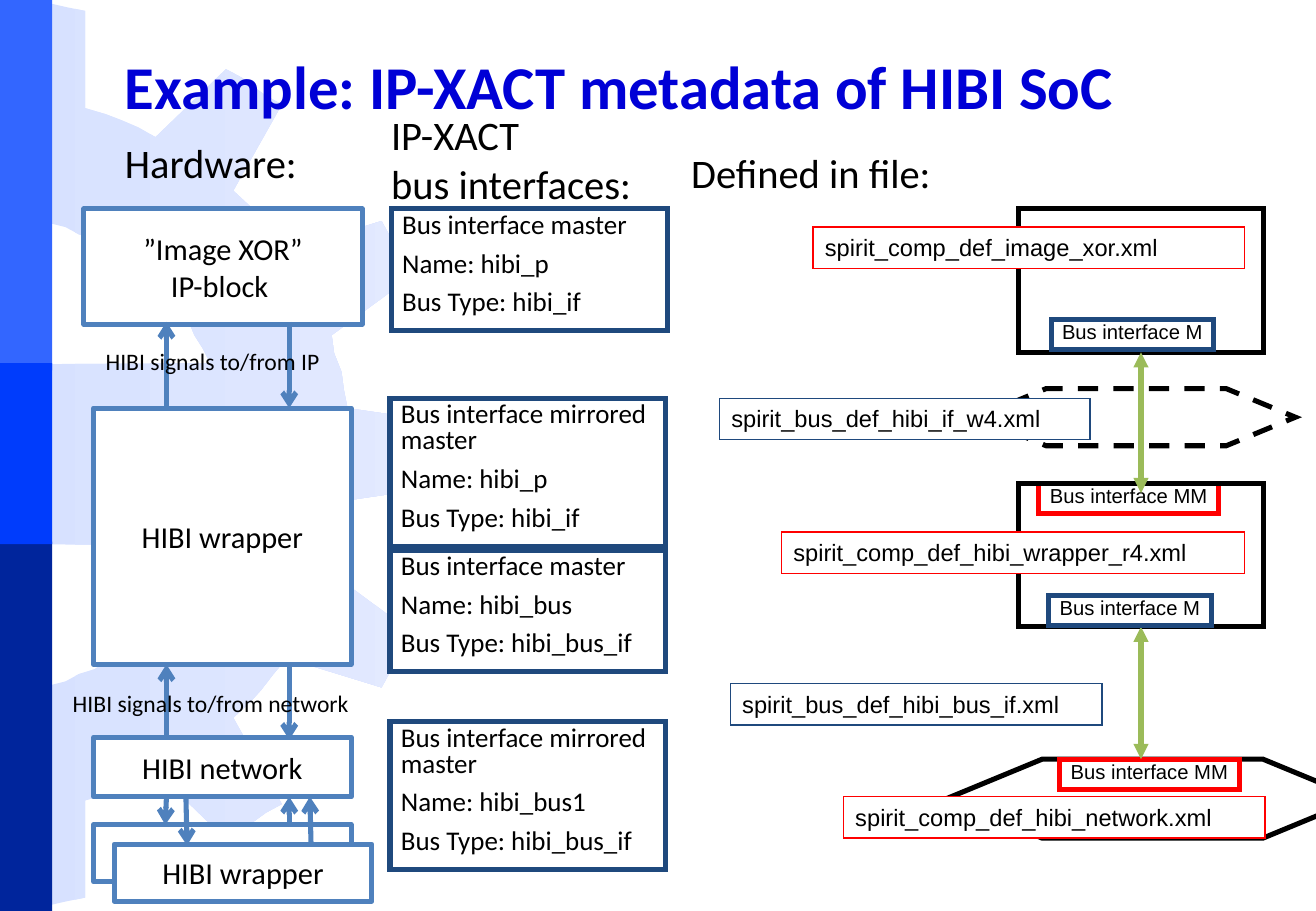
from lxml.etree import SubElement
from pptx import Presentation
from pptx.dml.color import RGBColor
from pptx.enum.dml import MSO_LINE
from pptx.enum.shapes import MSO_CONNECTOR, MSO_SHAPE
from pptx.enum.text import MSO_ANCHOR, PP_ALIGN
from pptx.oxml.ns import qn
from pptx.util import Pt

PX = 9144  # 100 px to the inch
COLORS = {
    "white": "FFFFFF", "black": "000000", "title": "0000D6", "red": "FF0000",
    "navy": "1F497D", "steel": "4F81BD", "green": "9BBB59",
    "band_top": "3366FF", "band_middle": "003CFC", "band_bottom": "00259C",
    "gear_left": "D7E1FF", "gear_right": "E3EAFF",
}
GEAR_LOWER_HALF = [
    (0, 448), (173, 449), (167, 461), (160, 472), (155, 484), (147, 495), (139, 504),
    (130, 512), (119, 522), (111, 528), (100, 536), (89, 543), (78, 551), (65, 555),
    (54, 561), (42, 564), (28, 568), (14, 570), (14, 749), (29, 746), (42, 745),
    (55, 742), (70, 739), (70, 659), (87, 654), (100, 649), (114, 643), (128, 635),
    (186, 691), (199, 684), (208, 677), (219, 669), (232, 662), (192, 591), (206, 578),
    (215, 568), (225, 555), (236, 542), (314, 566), (320, 555), (327, 543), (333, 534),
    (338, 520), (273, 472), (275, 457), (281, 442), (282, 435), (283, 427), (286, 412),
    (367, 400), (370, 385),
]
GEAR_MIRROR = 748  # sum of the heights of two mirrored points


def color(name):
    return RGBColor.from_string(COLORS[name])


class Sheet:
    HEADING = {"size": 24}
    CAPTION = {"size": 14}
    BLOCK = {"size": 18, "align": PP_ALIGN.CENTER, "anchor": MSO_ANCHOR.MIDDLE}
    BUS = {"size": 16, "spacing": 0.8, "before": 7.5, "insets": (9, 4)}
    PORT = {"size": 12, "font": "Arial", "spacing": 0.8, "insets": (9, 4), "wrap": False}
    FILE = {"size": 14, "font": "Arial"}

    def __init__(self, page):
        self.shapes = page.shapes

    def fill_text(self, shape, lines, size, font="Calibri", ink="black", bold=False,
                  align=PP_ALIGN.LEFT, anchor=MSO_ANCHOR.TOP, spacing=None, before=0,
                  insets=(10, 5), wrap=True):
        frame = shape.text_frame
        across, down = (inset * PX for inset in insets)
        frame_format = {"word_wrap": wrap, "vertical_anchor": anchor,
                        "margin_left": across, "margin_right": across,
                        "margin_top": down, "margin_bottom": down}
        for name, value in frame_format.items():
            setattr(frame, name, value)
        for number, line in enumerate(lines):
            para = frame.add_paragraph() if number else frame.paragraphs[0]
            para_format = {"alignment": align, "line_spacing": spacing,
                           "space_before": Pt(before if number else 0)}
            for name, value in para_format.items():
                setattr(para, name, value)
            span = para.add_run()
            span.text = line
            for name, value in {"name": font, "size": Pt(size), "bold": bold}.items():
                setattr(span.font, name, value)
            span.font.color.rgb = color(ink)

    def label(self, bounds, *lines, **style):
        box = self.shapes.add_textbox(*(value * PX for value in bounds))
        self.fill_text(box, lines, **{"wrap": False, **style})

    def box(self, bounds, *lines, fill=None, line=None, width=3, dash=None,
            join="miter", kind=MSO_SHAPE.RECTANGLE, **style):
        box = self.shapes.add_shape(kind, *(value * PX for value in bounds))
        box.shadow.inherit = False
        if fill:
            box.fill.solid()
            box.fill.fore_color.rgb = color(fill)
        else:
            box.fill.background()
        if line:
            box.line.color.rgb = color(line)
            box.line.width = Pt(width)
            if dash:
                box.line.dash_style = dash
            SubElement(box.line._get_or_add_ln(), qn("a:" + join))
        else:
            box.line.fill.background()
        if lines:
            self.fill_text(box, lines, **style)
        return box

    def block(self, bounds, *lines):
        self.box(bounds, *lines, fill="white", line="steel", join="round", **self.BLOCK)

    def bus(self, bounds, *lines):
        self.box(bounds, *lines, fill="white", line="navy", **self.BUS)

    def port(self, bounds, text, line):
        self.box(bounds, text, line=line, **self.PORT)

    def file_name(self, bounds, text, line):
        self.box(bounds, text, fill="white", line=line, width=0.75, **self.FILE)

    def hexagon(self, bounds, dash=None):
        shape = self.box(bounds, line="black", dash=dash, kind=MSO_SHAPE.LEFT_RIGHT_ARROW)
        shape.adjustments[0] = 1
        shape.adjustments[1] = 1.21

    def arrow(self, start, end, line="steel", ends=(("tailEnd", "arrow"),), source=None):
        """Draw an arrow; source is a box whose bottom middle it starts from."""
        link = self.shapes.add_connector(MSO_CONNECTOR.STRAIGHT,
                                         *(value * PX for value in (*start, *end)))
        if source is not None:
            link.begin_connect(source, 2)
        link.line.color.rgb = color(line)
        link.line.width = Pt(3)
        for tag, kind in ends:
            SubElement(link.line._get_or_add_ln(), qn("a:" + tag), type=kind)
        SubElement(link._element.spPr, qn("a:effectLst"))

    def double_arrow(self, source, start, end):
        ends = [("headEnd", "triangle"), ("tailEnd", "triangle")]
        self.arrow(start, end, "green", ends, source)

    def gear(self):
        upper = [(x, GEAR_MIRROR - y) for x, y in reversed(GEAR_LOWER_HALF)]
        first, *rest = GEAR_LOWER_HALF + upper
        builder = self.shapes.build_freeform(*first, scale=PX)
        builder.add_line_segments(rest, close=True)
        gear = builder.convert_to_shape()
        gear.shadow.inherit = False
        gear.line.fill.background()
        gear.fill.gradient()
        gear.fill.gradient_angle = 0
        for stop, name in zip(gear.fill.gradient_stops, ("gear_left", "gear_right")):
            stop.color.rgb = color(name)


def draw_background(sheet):
    sheet.gear()
    for top, height, fill in [(0, 305, "band_top"), (446, 304, "band_bottom"),
                              (299, 149, "band_middle")]:
        sheet.box((0, top, 43, height), fill=fill)
    sheet.label((93, 23, 939, 94), "Example: IP-XACT metadata of HIBI SoC", size=36,
                ink="title", bold=True, anchor=MSO_ANCHOR.MIDDLE, wrap=True)


def draw_bus_interfaces(sheet):
    for left, top, height, role, name, kind in [
            (321, 328, 122, "mirrored master", "hibi_p", "hibi_if"),
            (321, 453, 100, "master", "hibi_bus", "hibi_bus_if"),
            (322, 172, 100, "master", "hibi_p", "hibi_if"),
            (321, 594, 122, "mirrored master", "hibi_bus1", "hibi_bus_if")]:
        sheet.bus((left, top, 227, height), f"Bus interface {role}",
                  f"Name: {name}", f"Bus Type: {kind}")


def draw_hardware(sheet):
    sheet.block((77, 336, 212, 211), "HIBI wrapper")
    sheet.block((69, 172, 229, 95), "”Image XOR”", "IP-block ")
    sheet.block((77, 607, 212, 49), "HIBI network")
    for top, bottom in [(547, 609), (265, 336)]:
        sheet.arrow((238, top), (238, bottom))
        sheet.arrow((137, bottom), (137, top))
    sheet.label((50, 562, 249, 34), "HIBI signals to/from network", **sheet.CAPTION)
    sheet.label((77, 281, 198, 34), "HIBI signals to/from IP", **sheet.CAPTION)
    sheet.block((77, 679, 212, 47))
    sheet.block((94, 695, 212, 47), "HIBI wrapper")
    for start, end in [((238, 679), (238, 656)), ((137, 656), (136, 679)),
                       ((153, 656), (154, 696)), ((256, 696), (255, 656))]:
        sheet.arrow(start, end)


def draw_headings(sheet):
    sheet.label((93, 109, 163, 50), "Hardware:", **sheet.HEADING)
    sheet.label((312, 86, 220, 91), "IP-XACT", "bus interfaces:", **sheet.HEADING)
    sheet.label((559, 117, 220, 50), "Defined in file:", **sheet.HEADING)


def draw_files(sheet):
    sheet.hexagon((779, 625, 339, 65))
    sheet.port((855, 398, 148, 25), "Bus interface MM", "red")
    component = sheet.box((838, 172, 202, 118), line="black")
    sheet.port((865, 263, 134, 25), "Bus interface M", "navy")
    sheet.port((872, 625, 148, 25), "Bus interface MM", "red")
    wrapper = sheet.box((838, 398, 202, 118), line="black")
    sheet.double_arrow(wrapper, (939, 516), (939, 625))
    sheet.hexagon((804, 320, 262, 47), dash=MSO_LINE.DASH)
    sheet.port((863, 490, 134, 25), "Bus interface M", "navy")
    sheet.double_arrow(component, (939, 290), (939, 406))
    for left, top, width, name, line in [
            (669, 187, 355, "comp_def_image_xor", "red"),
            (592, 328, 305, "bus_def_hibi_if_w4", "navy"),
            (694, 656, 347, "comp_def_hibi_network", "red"),
            (643, 438, 381, "comp_def_hibi_wrapper_r4", "red"),
            (601, 563, 306, "bus_def_hibi_bus_if", "navy")]:
        sheet.file_name((left, top, width, 34), f"spirit_{name}.xml", line)


def main():
    deck = Presentation()
    deck.slide_width, deck.slide_height = 1083 * PX, 750 * PX
    sheet = Sheet(deck.slides.add_slide(deck.slide_layouts[6]))
    for draw in (draw_background, draw_bus_interfaces, draw_hardware, draw_headings,
                 draw_files):
        draw(sheet)
    deck.save("out.pptx")


if __name__ == "__main__":
    main()
